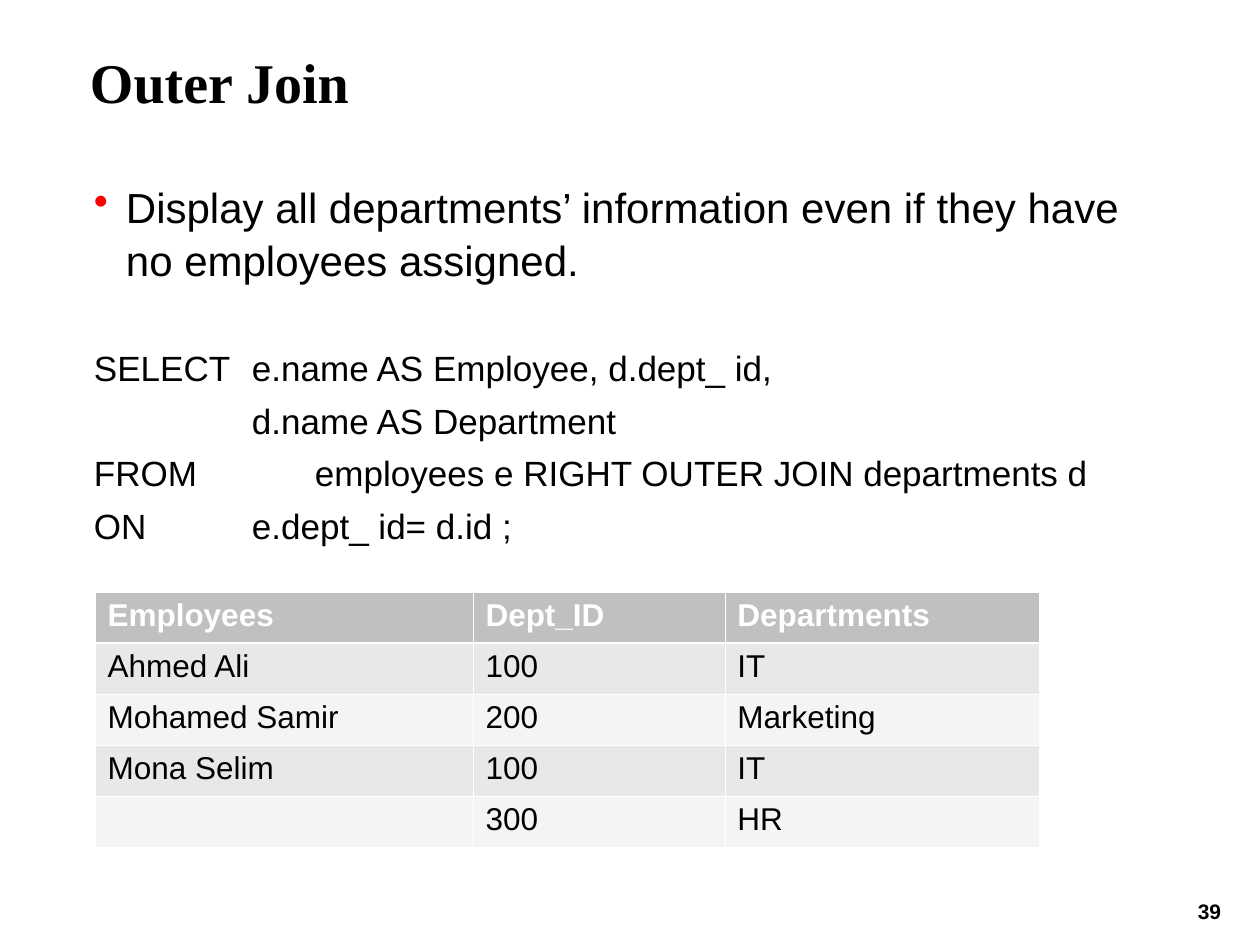
from pptx import Presentation
from pptx.dml.color import RGBColor
from pptx.enum.text import PP_ALIGN
from pptx.oxml import parse_xml
from pptx.oxml.ns import nsdecls
from pptx.util import Pt

PX = 914400 // 126
BLACK = RGBColor(0x00, 0x00, 0x00)
WHITE = RGBColor(0xFF, 0xFF, 0xFF)
BULLET_RED = RGBColor(0xFD, 0x00, 0x00)
HEADER_GREY = RGBColor(0xC0, 0xC0, 0xC0)
BAND_GREYS = (RGBColor(0xE8, 0xE8, 0xE8), RGBColor(0xF4, 0xF4, 0xF4))

TASK = "Display all departments’ information even if they have no employees assigned."
QUERY = (
    "SELECT\te.name AS Employee, d.dept_ id,",
    "\t\t\td.name AS Department",
    "FROM\t\temployees e RIGHT OUTER JOIN departments d",
    "ON\t\te.dept_ id= d.id ;",
)
RESULT = (
    ("Employees", "Dept_ID", "Departments"),
    ("Ahmed Ali", "100", "IT"),
    ("Mohamed Samir", "200", "Marketing"),
    ("Mona Selim", "100", "IT"),
    ("", "300", "HR"),
)
COLUMN_WIDTHS = (378, 252, 315)
ROW_HEIGHT = 51
INDENT = 32
TAB_STEP = 126


def set_font(paragraph, size, color=BLACK, bold=False, name="Arial"):
    values = {"size": Pt(size), "bold": bold, "name": name}
    for run in paragraph.runs:
        for attribute, value in values.items():
            setattr(run.font, attribute, value)
        run.font.color.rgb = color


def add_text_frame(slide, left, top, width, height, insets=(0, 0, 0, 0)):
    box = slide.shapes.add_textbox(left * PX, top * PX, width * PX, height * PX)
    frame = box.text_frame
    frame.word_wrap = True
    for side, inset in zip(("left", "top", "right", "bottom"), insets):
        setattr(frame, f"margin_{side}", inset * PX)
    return frame


def add_title(slide):
    frame = add_text_frame(slide, 90, 42, 1044, 130, insets=(0, 5, 0, 0))
    title = frame.paragraphs[0]
    title.text = "Outer Join"
    set_font(title, 32, bold=True, name="Times New Roman")


def add_hanging_indent(paragraph):
    properties = paragraph._p.get_or_add_pPr()
    properties.set("marL", str(INDENT * PX))
    properties.set("indent", str(-INDENT * PX))
    return properties


def add_bullet(paragraph):
    properties = add_hanging_indent(paragraph)
    properties.append(parse_xml(
        f'<a:buClr {nsdecls("a")}><a:srgbClr val="{BULLET_RED}"/></a:buClr>'))
    properties.append(parse_xml(f'<a:buChar {nsdecls("a")} char="•"/>'))


def add_tab_stops(paragraph):
    properties = add_hanging_indent(paragraph)
    stops = "".join(
        f'<a:tab pos="{column * TAB_STEP * PX}" algn="l"/>' for column in range(8))
    properties.append(parse_xml(f'<a:buNone {nsdecls("a")}/>'))
    properties.append(parse_xml(f'<a:tabLst {nsdecls("a")}>{stops}</a:tabLst>'))


def add_query(slide):
    frame = add_text_frame(slide, 94, 179, 1038, 410)
    task = frame.paragraphs[0]
    task.text = TASK
    add_bullet(task)
    task.line_spacing = 1.05
    set_font(task, 24)
    for number, line in enumerate(QUERY):
        clause = frame.add_paragraph()
        clause.text = line
        add_tab_stops(clause)
        clause.line_spacing = 1.05
        clause.space_before = Pt(5 if number else 34)
        set_font(clause, 20)


def add_borders(cell, widths):
    properties = cell._tc.get_or_add_tcPr()
    lines = [
        parse_xml(
            f'<a:{edge} {nsdecls("a")} w="{Pt(width)}"><a:solidFill>'
            f'<a:srgbClr val="{WHITE}"/></a:solidFill></a:{edge}>')
        for edge, width in widths.items()
    ]
    for position, line in enumerate(lines):
        properties.insert(position, line)


def add_result_table(slide):
    table = slide.shapes.add_table(
        len(RESULT), len(COLUMN_WIDTHS), 95 * PX, 592 * PX,
        sum(COLUMN_WIDTHS) * PX, len(RESULT) * ROW_HEIGHT * PX).table
    for column, width in zip(table.columns, COLUMN_WIDTHS):
        column.width = width * PX
    for row_number, values in enumerate(RESULT):
        is_header = row_number == 0
        table.rows[row_number].height = ROW_HEIGHT * PX
        for column_number, value in enumerate(values):
            cell = table.cell(row_number, column_number)
            cell.text = value
            set_font(cell.text_frame.paragraphs[0], 18,
                     WHITE if is_header else BLACK, is_header)
            cell.fill.solid()
            cell.fill.fore_color.rgb = (
                HEADER_GREY if is_header else BAND_GREYS[(row_number - 1) % 2])
            add_borders(cell, {
                "lnL": 0.45,
                "lnR": 0.45,
                "lnT": 1.47 if row_number == 1 else 0.45,
                "lnB": 1.47 if is_header else 0.45,
            })


def add_page_number(slide):
    frame = add_text_frame(slide, 1178, 895, 63, 35, insets=(12, 6, 12, 6))
    number = frame.paragraphs[0]
    number.text = "39"
    number.alignment = PP_ALIGN.CENTER
    number.line_spacing = 0.9
    set_font(number, 12, bold=True)


def main():
    presentation = Presentation()
    presentation.slide_width = 1260 * PX
    presentation.slide_height = 945 * PX
    slide = presentation.slides.add_slide(presentation.slide_layouts[6])
    add_page_number(slide)
    add_title(slide)
    add_query(slide)
    add_result_table(slide)
    presentation.save("out.pptx")


if __name__ == "__main__":
    main()
